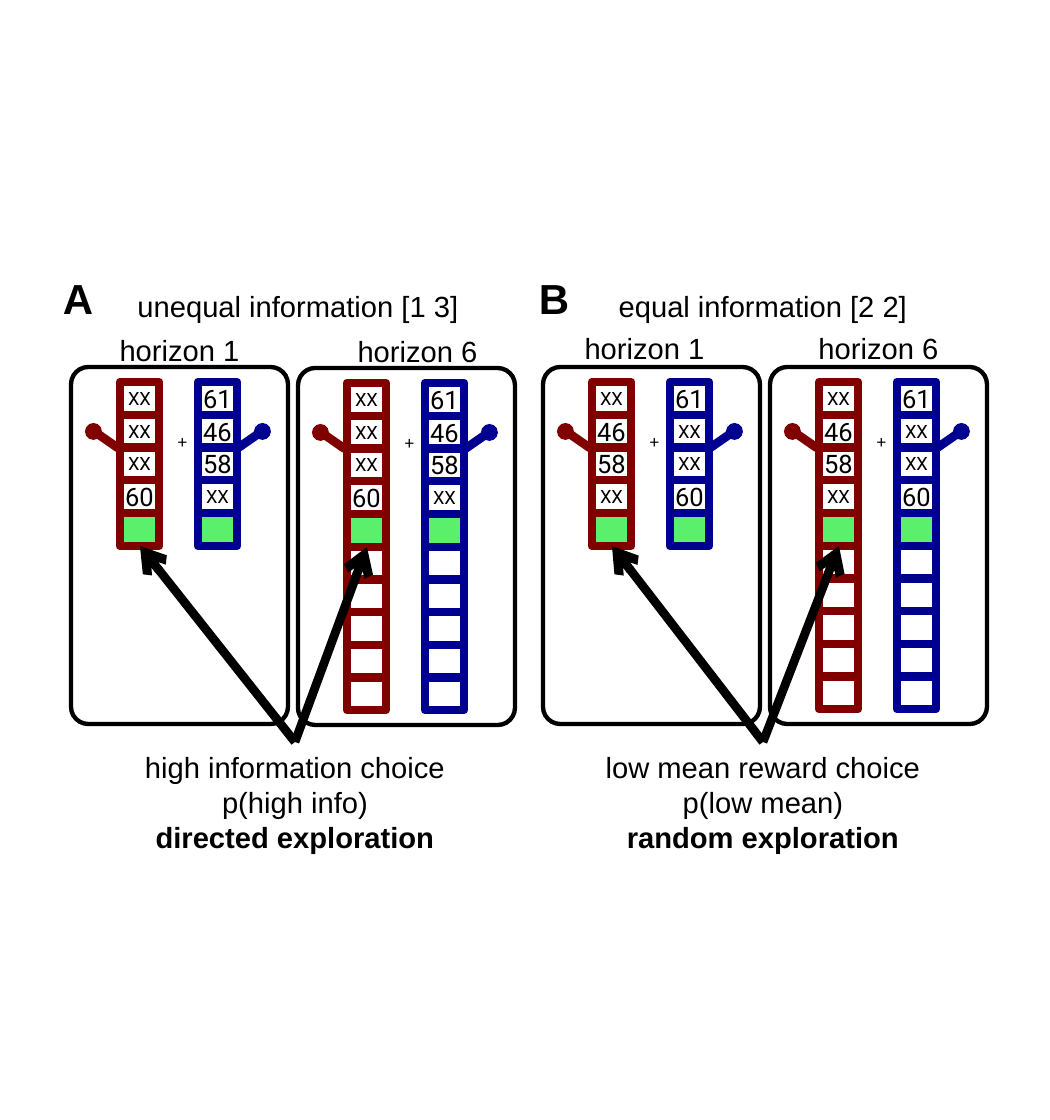
from dataclasses import dataclass
from typing import Any, NamedTuple

from lxml.etree import SubElement
from pptx import Presentation
from pptx.dml.color import RGBColor as RGB
from pptx.enum.shapes import MSO_CONNECTOR as CONN, MSO_SHAPE as SHAPE
from pptx.enum.text import MSO_ANCHOR as ANCHOR, PP_ALIGN as ALIGN
from pptx.oxml.ns import qn
from pptx.util import Emu, Pt

EMU_PER_PX = 914400 // 140


@dataclass(frozen=True)
class Theme:
    ink: str = "000000"
    red: str = "800000"
    blue: str = "000090"
    green: str = "5BF06C"
    font: str = "Arial"
    cell_font: str = "Roboto"
    plus_font: str = "Calibri"
    body: float = 15
    letter: float = 21.6
    number: float = 13.1
    small: float = 9.4
    thin: float = 2.25
    thick: float = 4.5


class Box(NamedTuple):
    x: int
    y: int
    w: int
    h: int


class Bandit(NamedTuple):
    color: str
    cell_x: int
    lever_from: int
    lever_to: int
    knob_x: int


class Panel(NamedTuple):
    x: int
    y: int
    rows: int
    label: str
    label_x: int
    label_y: int


class Condition(NamedTuple):
    letter: str
    letter_x: int
    title: str
    title_x: int
    caption: tuple[str, ...]
    caption_x: int
    arrow_x: int
    red_outcomes: tuple[str, ...]
    blue_outcomes: tuple[str, ...]
    panels: tuple[Panel, ...]


T = Theme()
BANDITS = (Bandit(T.red, 49, 47, 24, 14), Bandit(T.blue, 127, 167, 190, 183))
ROW_PITCH = 32.7
CHOICE_ROW = 4
CONDITIONS = (
    Condition("A", 49, "unequal information [1 3]", 71,
              ("high information choice", "p(high info)", "directed exploration"), 68, 295,
              ("XX", "XX", "XX", "60"), ("61", "46", "58", "XX"),
              (Panel(71, 367, 5, "horizon 1", 71, 325),
               Panel(298, 368, 10, "horizon 6", 309, 326))),
    Condition("B", 525, "equal information [2 2]", 536,
              ("low mean reward choice", "p(low mean)", "random exploration"), 536, 763,
              ("XX", "46", "58", "XX"), ("61", "XX", "XX", "60"),
              (Panel(543, 367, 5, "horizon 1", 536, 323),
               Panel(770, 367, 10, "horizon 6", 770, 323))),
)

prs = Presentation()
prs.slide_width, prs.slide_height = Emu(1050 * EMU_PER_PX), Emu(1120 * EMU_PER_PX)
shapes = prs.slides.add_slide(prs.slide_layouts[6]).shapes


def px(*values: int) -> list[Emu]:
    return [Emu(v * EMU_PER_PX) for v in values]


def apply(target: Any, values: dict[str, Any]) -> None:
    for name, value in values.items():
        setattr(target, name, value)


def write(tf: Any, lines: tuple[str, ...], size: float, font: str = T.font,
          align: Any = ALIGN.CENTER, bold_last: bool = False) -> None:
    for i, line in enumerate(lines):
        p = tf.paragraphs[0] if i == 0 else tf.add_paragraph()
        p.alignment = align
        r = p.add_run()
        r.text = line
        bold = bold_last and i == len(lines) - 1
        apply(r.font, {"name": font, "size": Pt(size), "bold": bold})
        r.font.color.rgb = RGB.from_string(T.ink)


def add_text(box: Box, lines: tuple[str, ...], size: float = T.body, **style: Any) -> Any:
    tf = shapes.add_textbox(*px(*box)).text_frame
    tf.word_wrap = True
    write(tf, lines, size, **style)
    return tf


def add_shape(kind: Any, box: Box, fill: str = "", line: str = "", width: float = T.thick) -> Any:
    sp = shapes.add_shape(kind, *px(*box))
    sp.shadow.inherit = False
    for part, color in ((sp.fill, fill), (sp.line.fill, line)):
        if color:
            part.solid()
            part.fore_color.rgb = RGB.from_string(color)
        else:
            part.background()
    if line:
        sp.line.width = Pt(width)
    return sp


def add_line(x1: int, y1: int, x2: int, y2: int, color: str, arrow: bool = False) -> None:
    s = shapes.add_connector(CONN.STRAIGHT, *px(x1, y1, x2, y2))
    s.line.width = Pt(T.thick)
    s.line.color.rgb = RGB.from_string(color)
    if arrow:
        SubElement(s.line._get_or_add_ln(), qn("a:tailEnd"), type="arrow")
    SubElement(s._element.spPr, qn("a:effectLst"))


def add_cell(box: Box, color: str, fill: str, outcome: str) -> None:
    sp = add_shape(SHAPE.RECTANGLE, box, fill, color)
    if outcome:
        tf = sp.text_frame
        apply(tf, {"word_wrap": False, "vertical_anchor": ANCHOR.MIDDLE, "margin_left": 0,
                   "margin_right": 0, "margin_top": 0, "margin_bottom": 0})
        write(tf, (outcome,), T.small if outcome == "XX" else T.number, T.cell_font)


def add_bandit(panel: Panel, bandit: Bandit, outcomes: tuple[str, ...]) -> None:
    x, y = panel.x, panel.y
    add_line(x + bandit.lever_from, y + 81, x + bandit.lever_to, y + 65, bandit.color)
    add_shape(SHAPE.OVAL, Box(x + bandit.knob_x, y + 56, 17, 17), bandit.color)
    for row in range(panel.rows):
        box = Box(x + bandit.cell_x, y + 15 + round(row * ROW_PITCH), 39, 33)
        outcome = outcomes[row] if row < len(outcomes) else ""
        add_cell(box, bandit.color, T.green if row == CHOICE_ROW else "", outcome)


def add_panel(panel: Panel, condition: Condition) -> None:
    tf = add_text(Box(panel.x + 98, panel.y + 56, 27, 36), ("+",), T.small, font=T.plus_font)
    apply(tf, {"margin_left": 0, "margin_right": 0})
    frame = add_shape(SHAPE.ROUNDED_RECTANGLE, Box(panel.x, panel.y, 217, 357),
                      line=T.ink, width=T.thin)
    frame.adjustments[0] = 0.08
    for bandit, outcomes in zip(BANDITS, (condition.red_outcomes, condition.blue_outcomes)):
        add_bandit(panel, bandit, outcomes)
    add_text(Box(panel.label_x, panel.label_y, 217, 49), (panel.label,))


def add_condition(c: Condition) -> None:
    for panel in c.panels:
        add_panel(panel, c)
    add_text(Box(c.title_x, 281, 454, 49), (c.title,))
    add_text(Box(c.caption_x, 742, 454, 120), c.caption, bold_last=True)
    add_text(Box(c.letter_x, 266, 91, 64), (c.letter,), T.letter,
             align=ALIGN.LEFT, bold_last=True)
    for panel in c.panels:
        add_line(c.arrow_x, 742, panel.x + 69, panel.y + 179, T.ink, arrow=True)


for condition in CONDITIONS:
    add_condition(condition)

prs.save("out.pptx")
